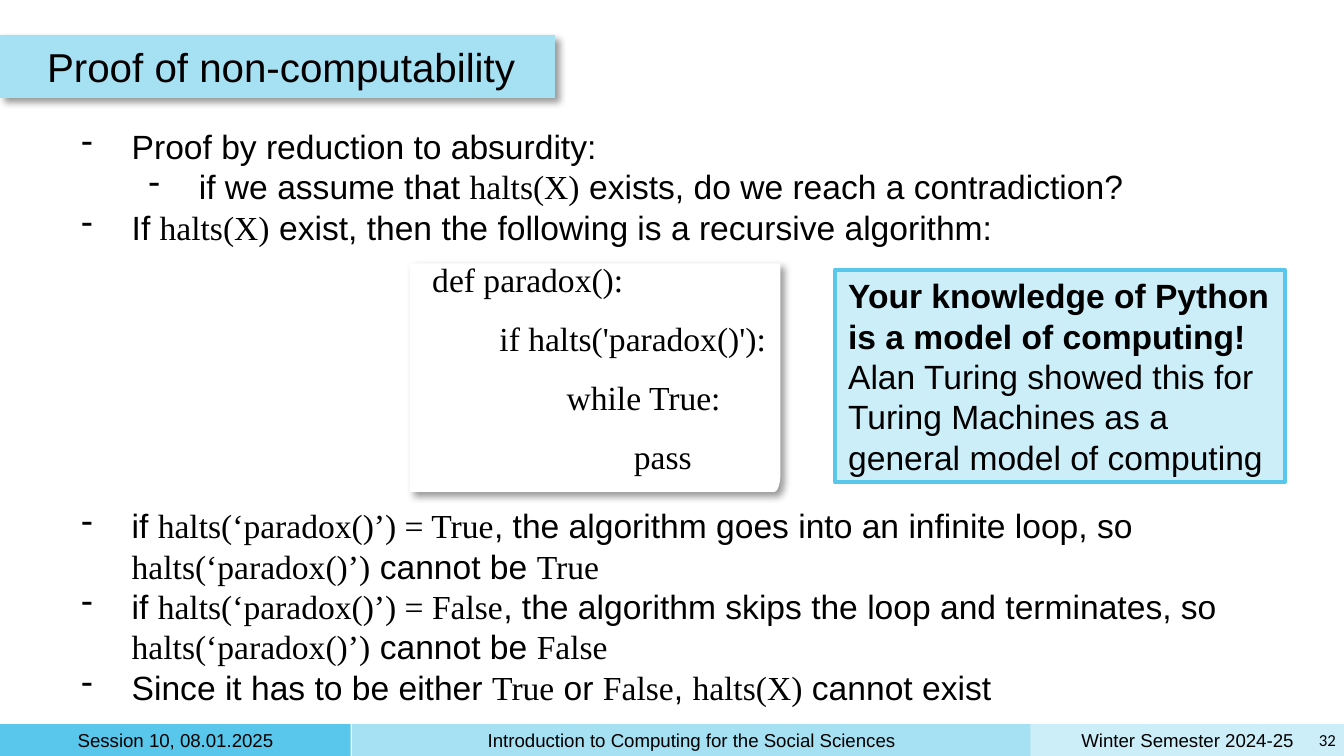
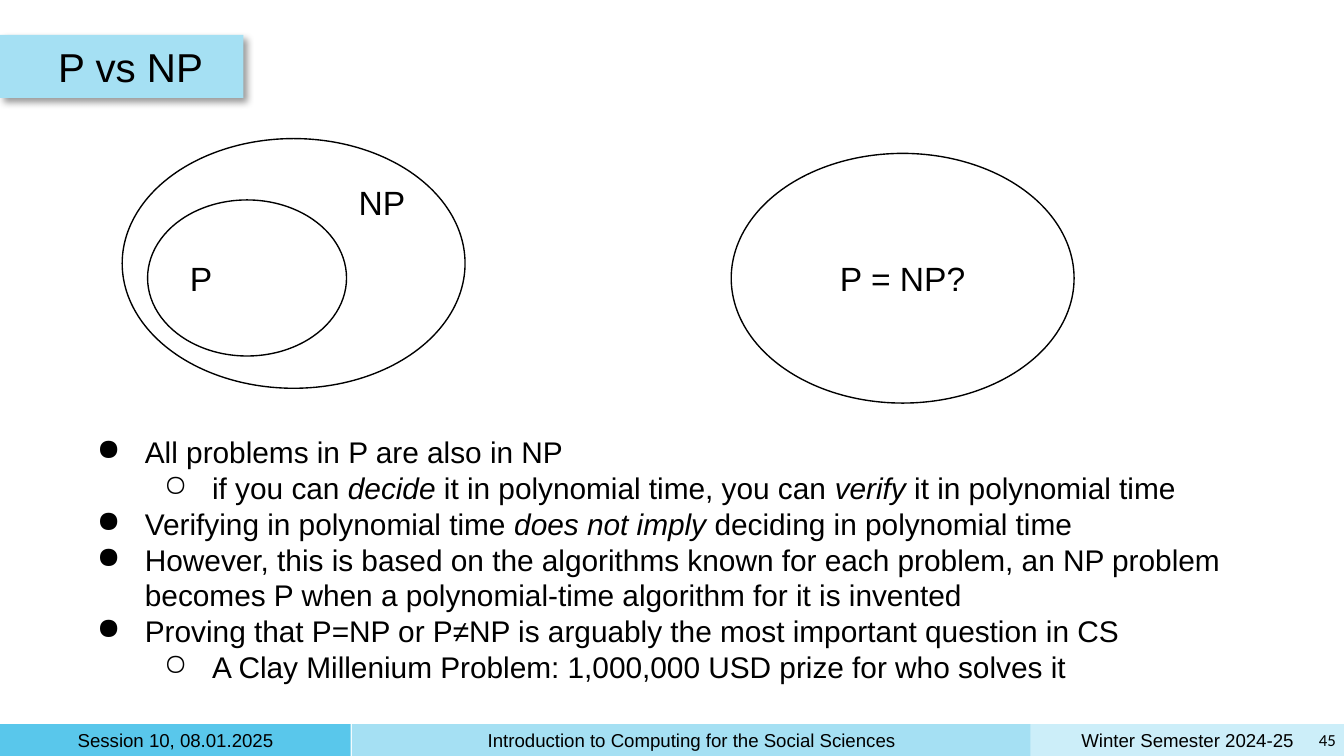
"""Builds two lecture slides: a proof of non-computability, and P vs NP."""
from math import cos, pi, sin

from lxml.etree import SubElement
from pptx import Presentation
from pptx.dml.color import RGBColor
from pptx.enum.shapes import MSO_SHAPE as SHAPE
from pptx.enum.text import MSO_ANCHOR as ANCHOR, MSO_AUTO_SIZE as AUTO, PP_ALIGN as ALIGN
from pptx.oxml import parse_xml
from pptx.oxml.ns import nsdecls, qn
from pptx.util import Cm, Pt

BLACK = RGBColor(0x00, 0x00, 0x00)
WHITE = RGBColor(0xFF, 0xFF, 0xFF)
DEEP = RGBColor(0x59, 0xC7, 0xEB)
MID = RGBColor(0xA5, 0xE0, 0xF3)
PALE = RGBColor(0xCC, 0xEE, 0xF9)
SANS, SERIF = "Arial", "Times New Roman"
STEP = 1.27
SHADOW = (
    f'<a:effectLst {nsdecls("a")}><a:outerShdw blurRad="50800" dist="38100" dir="2700000" '
    'algn="tl" rotWithShape="0"><a:srgbClr val="000000"><a:alpha val="40000"/></a:srgbClr>'
    "</a:outerShdw></a:effectLst>"
)


def style(sp, fill=None, line=None, width=0.75, shadow=False):
    """Set fill, outline and shadow of a shape."""
    sp.shadow.inherit = False
    if fill is None:
        sp.fill.background()
    else:
        sp.fill.solid()
        sp.fill.fore_color.rgb = fill
    if line is None:
        sp.line.fill.background()
    else:
        sp.line.color.rgb = line
        sp.line.width = Pt(width)
    if shadow:
        props = sp.element.spPr
        props.remove(props.find(qn("a:effectLst")))
        props.append(parse_xml(SHADOW))
    return sp


def write(sp, lines, size=18, font=SANS, align=ALIGN.LEFT, anchor=ANCHOR.TOP,
          inset=0.25, bullets="", indent=0, gap=0, alt=("name", SERIF)):
    """Write (level, text) lines; parts between bars take the alternative font setting."""
    tf = sp.text_frame
    tf.word_wrap = True
    tf.auto_size = AUTO.NONE
    tf.vertical_anchor = anchor
    tf.margin_left = tf.margin_right = tf.margin_top = tf.margin_bottom = Cm(inset)
    for i, (level, text) in enumerate(lines):
        p = tf.add_paragraph() if i else tf.paragraphs[0]
        pPr = p._p.get_or_add_pPr()
        pPr.set("marL", str(Cm(STEP * (level + bool(bullets)))))
        pPr.set("indent", str(Cm(indent)))
        if bullets:
            p.level = level
            SubElement(pPr, qn("a:buChar")).set("char", bullets[level])
        p.alignment = align
        p.line_spacing = Pt(1.2 * size)
        p.space_before = Pt(gap if i else 0)
        for j, part in enumerate(text.split("|")):
            if part.startswith("\n"):
                p.add_line_break()
            if part:
                r = p.add_run()
                r.text = part.lstrip("\n")
                r.font.size = Pt(size)
                r.font.name = font
                r.font.color.rgb = BLACK
                if j % 2:
                    setattr(r.font, *alt)


prs = Presentation()
prs.slide_width, prs.slide_height = Cm(25.4), Cm(14.29)

FOOTERS = [
    (19.48, 5.92, PALE, "Winter Semester 2024-25"),
    (0, 6.63, DEEP, "Session 10, 08.01.2025"),
    (6.65, 12.83, MID, "Introduction to Computing for the Social Sciences"),
]
PAGES = [
    ("Proof of non-computability", 10.49, 0.76, 22.1, "32"),
    ("P vs NP", 4.6, 0.97, 13.92, "45"),
]

slides = []
for heading, band_width, title_left, title_width, number in PAGES:
    s = prs.slides.add_slide(prs.slide_layouts[5])
    slides.append(s)
    for left, width, color, text in FOOTERS:
        style(s.shapes.add_shape(SHAPE.RECTANGLE, Cm(left), Cm(13.69), Cm(width), Cm(0.6)), color)
        label = s.shapes.add_textbox(Cm(left + 0.13), Cm(13.74), Cm(width - 0.26), Cm(0.48))
        write(label, [(0, text)], 10, align=ALIGN.CENTER, anchor=ANCHOR.MIDDLE, inset=0.13)
    page = s.shapes.add_textbox(Cm(24.77), Cm(13.67), Cm(0.61), Cm(0.64))
    write(page, [(0, number)], 9, "Calibri", ALIGN.RIGHT, ANCHOR.MIDDLE, 0.13)
    band = s.shapes.add_shape(SHAPE.RECTANGLE, 0, Cm(0.66), Cm(band_width), Cm(1.19))
    style(band, MID, shadow=True)
    title = s.shapes.title
    title.left, title.top = Cm(title_left), Cm(0.66)
    title.width, title.height = Cm(title_width), Cm(1.19)
    write(title, [(0, heading)], 21.6, anchor=ANCHOR.MIDDLE, inset=0.13)
    s.shapes.element.append(title.element)

proof, classes = slides

premise = proof.shapes.add_textbox(Cm(0.97), Cm(2.13), Cm(23.39), Cm(2.82))
write(premise, [
    (0, "Proof by reduction to absurdity:"),
    (1, "if we assume that |halts(X)| exists, do we reach a contradiction?"),
    (0, "If |halts(X)| exist, then the following is a recursive algorithm:"),
], bullets="--", indent=-0.95)

left, top, right, bottom = 7.75, 4.98, 14.75, 9.3
corner_w, corner_h = 0.12, 0.33
arc = [(right - corner_w * (1 - cos(k * pi / 16)), bottom - corner_h * (1 - sin(k * pi / 16)))
       for k in range(9)]
outline = proof.shapes.build_freeform(Cm(left), Cm(top))
outline.add_line_segments(
    [(Cm(x), Cm(y)) for x, y in [(right, top), *arc, (left, bottom)]], close=True)
style(outline.convert_to_shape(), WHITE, shadow=True)

code = proof.shapes.add_textbox(Cm(6.65), Cm(4.65), Cm(8.33), Cm(4.65))
write(code, [
    (0, "def paradox():"),
    (1, "if halts('paradox()'):"),
    (2, "while True:"),
    (3, "pass"),
], font=SERIF, indent=STEP, gap=10)

cases = proof.shapes.add_textbox(Cm(0.97), Cm(9.3), Cm(22.73), Cm(4.37))
write(cases, [
    (0, "if |halts(‘paradox()’) = True|, the algorithm goes into an infinite loop, so "
        "|halts(‘paradox()’)| cannot be |True"),
    (0, "if |halts(‘paradox()’) = False|, the algorithm skips the loop and terminates, so "
        "|halts(‘paradox()’)| cannot be |False"),
    (0, "Since it has to be either |True| or |False|, |halts(X)| cannot exist"),
], bullets="--", indent=-0.95)

remark = proof.shapes.add_shape(SHAPE.RECTANGLE, Cm(15.78), Cm(5.1), Cm(8.5), Cm(4.02))
style(remark, PALE, DEEP, 2.25)
write(remark, [
    (0, "|Your knowledge of Python is a model of computing!|\n"
        "Alan Turing showed this for Turing Machines as a general model of computing"),
], anchor=ANCHOR.MIDDLE, alt=("bold", True))

for x, y, w, h, text, align in [
    (2.31, 2.62, 6.48, 4.72, "", ALIGN.LEFT),
    (2.79, 3.78, 3.76, 2.95, "P", ALIGN.LEFT),
    (13.82, 2.9, 6.48, 4.72, "P = NP?", ALIGN.CENTER),
]:
    oval = style(classes.shapes.add_shape(SHAPE.OVAL, Cm(x), Cm(y), Cm(w), Cm(h)), line=BLACK)
    write(oval, [(0, text)], align=align, anchor=ANCHOR.MIDDLE)

np_label = classes.shapes.add_textbox(Cm(6.53), Cm(3.18), Cm(1.65), Cm(1.27))
write(np_label, [(0, "NP")])

facts = classes.shapes.add_textbox(Cm(1.22), Cm(7.95), Cm(22.2), Cm(5.31))
write(facts, [
    (0, "All problems in P are also in NP"),
    (1, "if you can |decide| it in polynomial time, you can |verify| it in polynomial time"),
    (0, "Verifying in polynomial time |does not imply| deciding in polynomial time"),
    (0, "However, this is based on the algorithms known for each problem, an NP problem "
        "becomes P when a polynomial-time algorithm for it is invented"),
    (0, "Proving that P=NP or P≠NP is arguably the most important question in CS"),
    (1, "A Clay Millenium Problem: 1,000,000 USD prize for who solves it"),
], 16, bullets="●○", indent=-0.91, alt=("italic", True))

prs.save("out.pptx")
